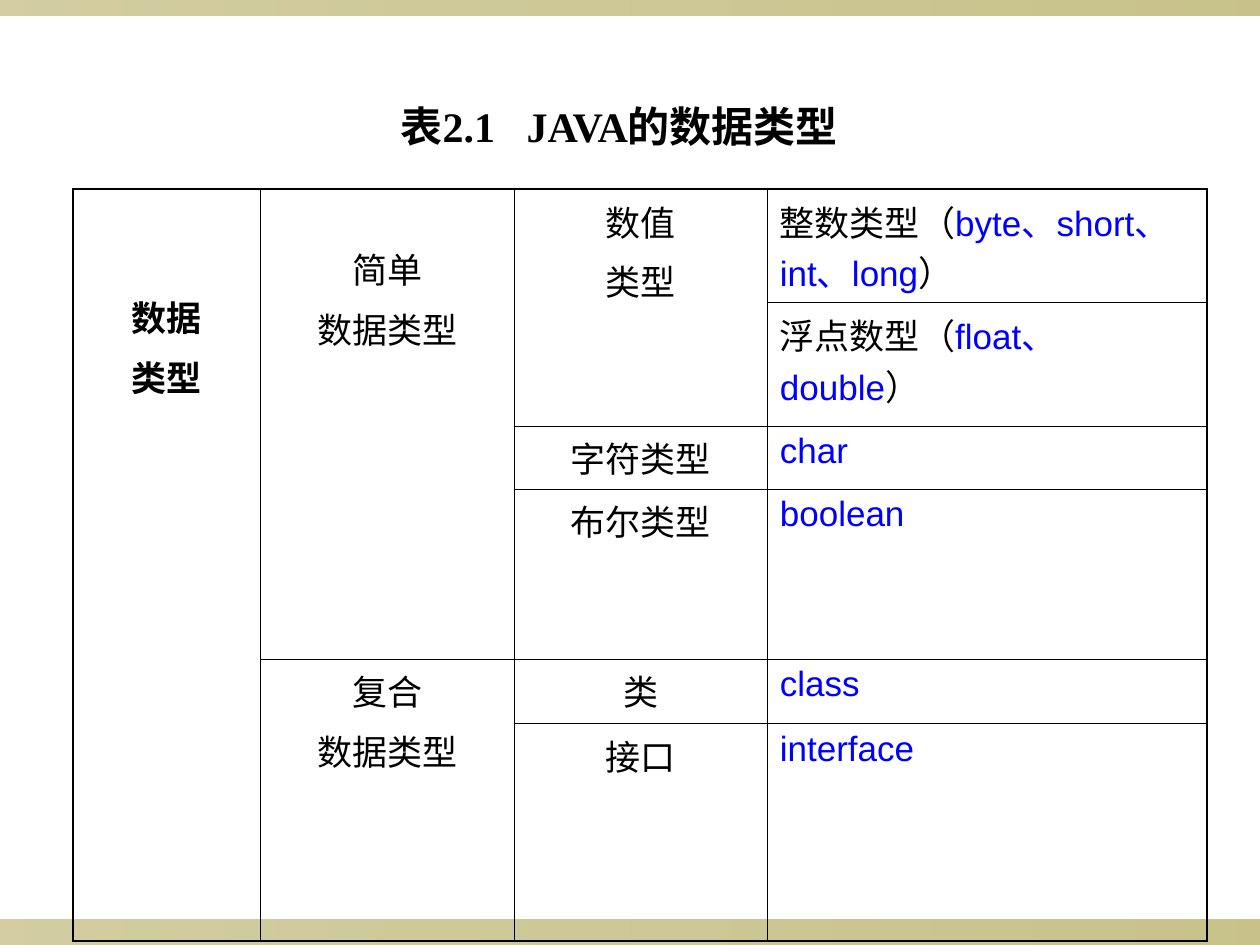
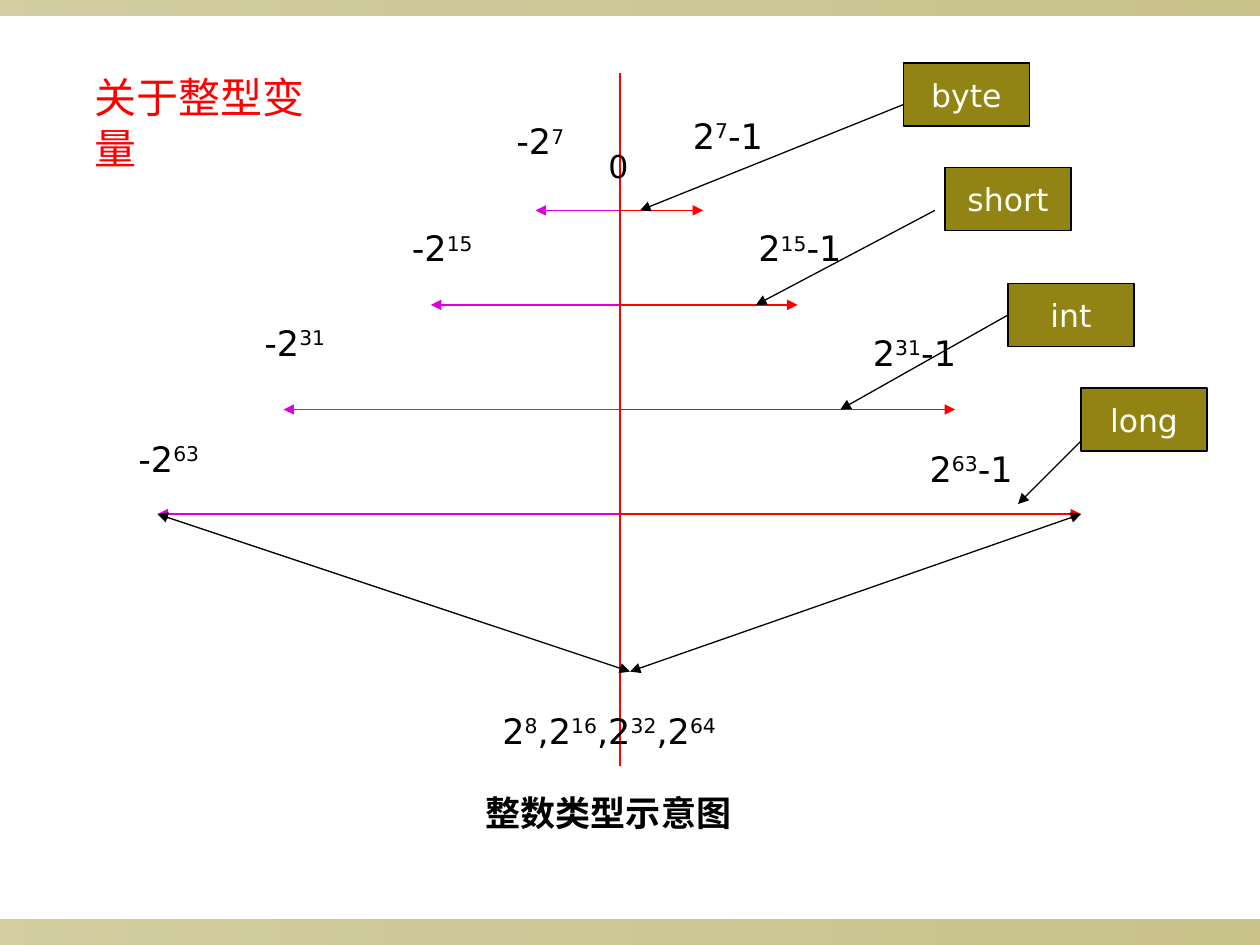
from lxml import etree
from pptx import Presentation
from pptx.dml.color import RGBColor
from pptx.enum.shapes import MSO_CONNECTOR, MSO_SHAPE
from pptx.enum.text import MSO_ANCHOR, MSO_AUTO_SIZE, PP_ALIGN
from pptx.oxml.ns import qn
from pptx.util import Inches, Pt

LEFT, CENTER = PP_ALIGN.LEFT, PP_ALIGN.CENTER
TOP, MIDDLE = MSO_ANCHOR.TOP, MSO_ANCHOR.MIDDLE
GROW = MSO_AUTO_SIZE.SHAPE_TO_FIT_TEXT
RECT, STRAIGHT = MSO_SHAPE.RECTANGLE, MSO_CONNECTOR.STRAIGHT
LEFT_SIDE = 1

BLACK, RED, BLUE, PINK = "000000", "FF0000", "0000FF", "DD00DD"
OLIVE, CREAM = "918415", "FFFFF4"
SANS, SERIF, WIDE = "Arial", "Times New Roman", "DejaVu Sans"
THIN, THICK = 0.45, 1.08

# Row, column, rows spanned, top margin, text; blue text stands between bars
CELLS = [
    (0, 0, 6, 0.81, "数据\n类型"),
    (0, 1, 4, 0.43, "简单\n数据类型"),
    (0, 2, 2, 0.05, "数值\n类型"),
    (0, 3, 1, 0.05, "整数类型（|byte、short、int、long|）"),
    (1, 3, 1, 0.05, "浮点数型（|float、double|）"),
    (2, 2, 1, 0.05, "字符类型"),
    (2, 3, 1, 0.05, "|char|"),
    (3, 2, 1, 0.05, "布尔类型"),
    (3, 3, 1, 0.05, "|boolean|"),
    (4, 1, 2, 0.05, "复合\n数据类型"),
    (4, 2, 1, 0.05, "类"),
    (4, 3, 1, 0.05, "|class|"),
    (5, 2, 1, 0.05, "接口"),
    (5, 3, 1, 0.05, "|interface|"),
]
COLS = [1.49, 2.01, 2.01, 3.49]
ROWS = [0.9, 0.98, 0.5, 1.35, 0.51, 1.73]

# Type, power, line height, reach to each side, then the places of
# both labels, the tag, and the two ends of its leader
RANGES = [
    ("byte", 7, 1.09, (0.67, 0.66), (-0.92, 0.32), (0.48, 0.28),
     (2.25, -0.08), (2.25, 0.25), (0.16, 1.09)),
    ("short", 15, 1.84, (1.5, 1.41), (-1.75, 1.17), (1, 1.17),
     (2.58, 0.75), (2.5, 1.09), (1.08, 1.84)),
    ("int", 31, 2.67, (2.67, 2.66), (-2.92, 1.92), (1.91, 2),
     (3.08, 1.67), (3.08, 1.92), (1.75, 2.67)),
    ("long", 63, 3.5, (3.67, 3.66), (-3.92, 2.84), (2.36, 2.92),
     (3.66, 2.5), (3.66, 2.92), (3.16, 3.42)),
]


def rgb(code):
    return RGBColor.from_string(code)


def style(font, name, size, color, bold=False):
    font.name, font.size, font.bold = name, Pt(size), bold
    font.color.rgb = rgb(color)


def write(para, text, mark, look):
    """Add runs split at the mark, and return those between marks."""
    odd = []
    for num, part in enumerate(text.split(mark)):
        if part:
            run = para.add_run()
            run.text = part
            style(run.font, *look)
            if num % 2:
                odd.append(run)
    return odd


def place(shape, box):
    shape.left, shape.top, shape.width, shape.height = map(Inches, box)


def add_title(slide, text, box, look):
    title = slide.shapes.title
    place(title, box)
    frame = title.text_frame
    frame.text = text
    frame.word_wrap, frame.auto_size = False, GROW
    frame.vertical_anchor = TOP
    para = frame.paragraphs[0]
    para.alignment = LEFT
    for run in para.runs:
        style(run.font, *look)


def label(slide, text, box, align=LEFT, size=20, bold=False, wrap=True):
    """Text box where powers stand between carets."""
    area = slide.shapes.add_textbox(*map(Inches, box))
    frame = area.text_frame
    frame.word_wrap, frame.auto_size = wrap, GROW
    para = frame.paragraphs[0]
    para.alignment = align
    for run in write(para, text, "^", (WIDE, size, BLACK, bold)):
        run.font._element.set("baseline", "30000")


def line(slide, start, end, color, head=False, tail=True):
    link = slide.shapes.add_connector(STRAIGHT, *map(Inches, start + end))
    link.line.color.rgb = rgb(color)
    link.line.width = Pt(0.75)
    stroke = link.line._get_or_add_ln()
    for tag, shown in (("a:headEnd", head), ("a:tailEnd", tail)):
        if shown:
            etree.SubElement(stroke, qn(tag), type="triangle")
    etree.SubElement(link.element.spPr, qn("a:effectLst"))
    return link


def bands(slide):
    """Pale olive bands along the top and bottom edges."""
    for top, height in ((7.3, 0.2), (0, 0.12)):
        band = slide.shapes.add_shape(RECT, *map(Inches, (0, top, 10, height)))
        band.shadow.inherit = False
        band.line.fill.background()
        band.fill.gradient()
        band.fill.gradient_angle = 0
        for stop, alpha in zip(band.fill.gradient_stops, ("40000", "50000")):
            stop.color.rgb = rgb(OLIVE)
            tint = stop._gs.find(qn("a:srgbClr"))
            etree.SubElement(tint, qn("a:alpha"), val=alpha)


def borders(cell, row, col, span):
    """Thick lines on the rim of the table, thin lines inside."""
    rims = {"a:lnL": col == 0, "a:lnR": col == len(COLS) - 1,
            "a:lnT": row == 0, "a:lnB": row + span == len(ROWS)}
    props = cell._tc.get_or_add_tcPr()
    for num, (tag, rim) in enumerate(rims.items()):
        edge = etree.Element(qn(tag), w=str(int(Pt(THICK if rim else THIN))))
        fill = etree.SubElement(edge, qn("a:solidFill"))
        etree.SubElement(fill, qn("a:srgbClr"), val=BLACK)
        props.insert(num, edge)


def type_table(slide, left, top):
    box = (left, top, sum(COLS), sum(ROWS))
    table = slide.shapes.add_table(
        len(ROWS), len(COLS), *map(Inches, box)).table
    table.first_row = table.horz_banding = False
    for column, width in zip(table.columns, COLS):
        column.width = Inches(width)
    for line_, height in zip(table.rows, ROWS):
        line_.height = Inches(height)
    for cell in table.iter_cells():
        cell.fill.background()
    for row, col, span, margin, text in CELLS:
        cell = table.cell(row, col)
        if span > 1:
            cell.merge(table.cell(row + span - 1, col))
        cell.margin_top = Inches(margin)
        borders(cell, row, col, span)
        frame = cell.text_frame
        for num, part in enumerate(text.split("\n")):
            para = frame.add_paragraph() if num else frame.paragraphs[0]
            para.space_before = Pt(5 if num else 0)
            para.alignment = LEFT if col == 3 else CENTER
            for run in write(para, part, "|", (SANS, 20, BLACK, col == 0)):
                run.font.color.rgb = rgb(BLUE)


def tag(slide, text, box):
    shape = slide.shapes.add_shape(RECT, *map(Inches, box))
    shape.shadow.inherit = False
    shape.fill.solid()
    shape.fill.fore_color.rgb = rgb(OLIVE)
    shape.line.color.rgb = rgb(BLACK)
    shape.line.width = Pt(0.75)
    frame = shape.text_frame
    frame.word_wrap, frame.vertical_anchor = False, MIDDLE
    frame.text = text
    para = frame.paragraphs[0]
    para.alignment = CENTER
    style(para.runs[0].font, WIDE, 18, CREAM)
    return shape


def range_chart(slide, left, top):
    """Ranges of the integer types around an axis that starts at left, top."""
    def at(x, y):
        return left + x, top + y

    # Ranges with their limits
    for name, power, y, (low, high), neg, pos, *_ in RANGES:
        line(slide, at(0, y), at(high, y), RED)
        line(slide, at(0, y), at(-low, y), PINK)
        label(slide, f"2^{power}^-1", at(*pos) + (2.1, 0.44))
        label(slide, f"-2^{power}^", at(*neg) + (0.83, 0.44))

    # Axis and zero
    line(slide, at(0, 0), at(0, 5.5), RED, tail=False)
    label(slide, "0", at(-0.19, 0.54) + (0.34, 0.4), size=18, wrap=False)

    # Number of values
    low, high = RANGES[-1][3]
    for x in (-low, high):
        line(slide, at(x, 3.5), at(0.08, 4.75), BLACK, head=True)
    label(slide, "2^8^,2^16^,2^32^,2^64^", at(-2.75, 5) + (5.33, 0.77), CENTER)

    # Type tags with leaders
    for name, *_, spot, start, end in RANGES:
        shape = tag(slide, name, at(*spot) + (1, 0.5))
        link = line(slide, at(*start), at(*end), BLACK)
        if name == "int":
            link.begin_connect(shape, LEFT_SIDE)

    # Caption
    label(slide, "整数类型示意图", at(-3.09, 5.65) + (6, 0.44), CENTER, bold=True)


def new_slide(prs):
    slide = prs.slides.add_slide(prs.slide_layouts[5])
    bands(slide)
    return slide


def main():
    prs = Presentation()
    prs.slide_width, prs.slide_height = Inches(10), Inches(7.5)

    slide = new_slide(prs)
    add_title(slide, "表2.1\tJAVA的数据类型", (3.08, 0.75, 3.83, 0.5),
              (SERIF, 24, BLACK, True))
    type_table(slide, 0.58, 1.5)

    slide = new_slide(prs)
    add_title(slide, "关于整型变量", (0.65, 0.52, 2.2, 0.5), (SANS, 24, RED))
    range_chart(slide, 4.92, 0.58)

    prs.save("out.pptx")


if __name__ == "__main__":
    main()
